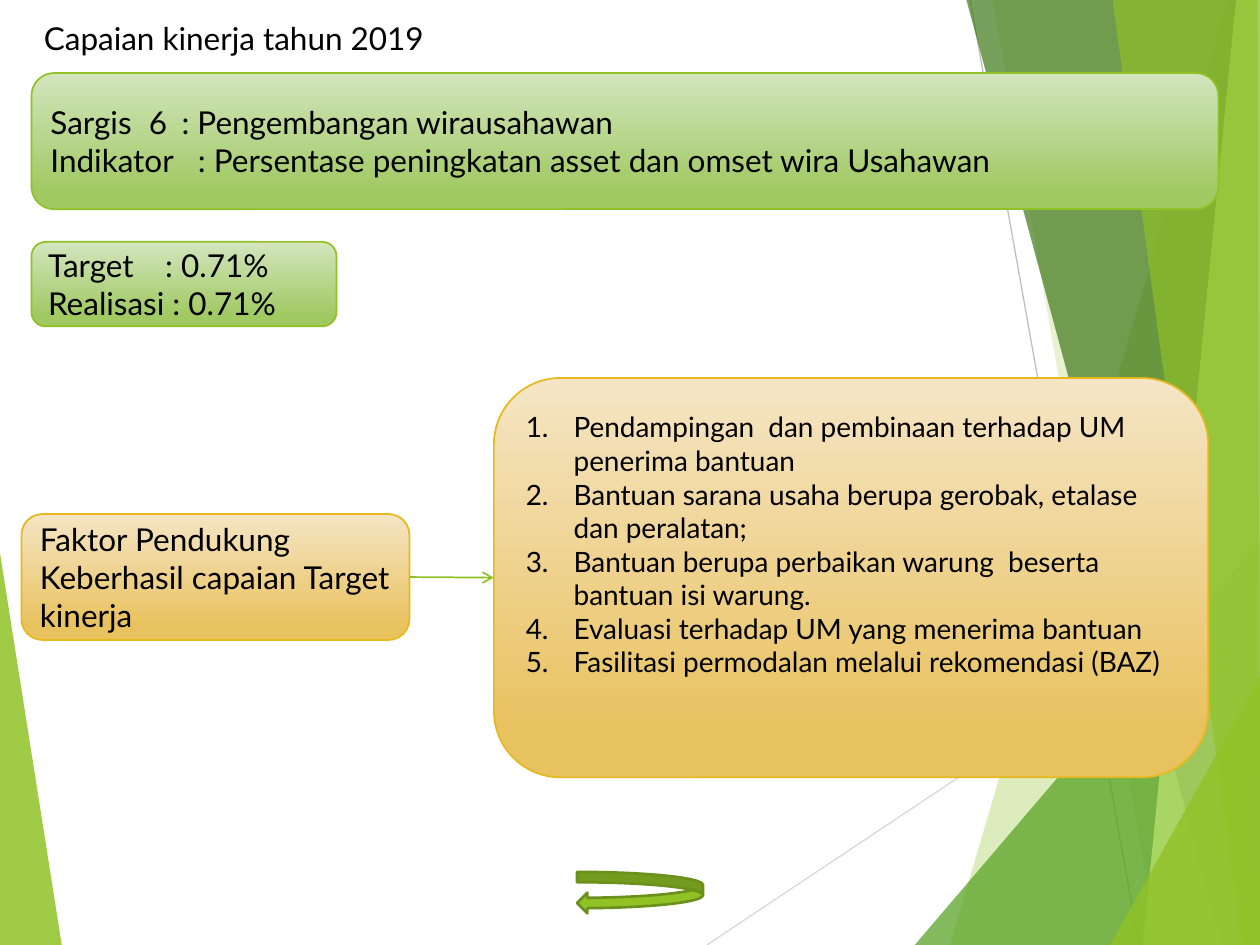
from lxml import etree
from pptx import Presentation
from pptx.dml.color import RGBColor
from pptx.enum import shapes, text
from pptx.oxml.ns import qn
from pptx.util import Inches, Pt

BLACK = RGBColor(0x00, 0x00, 0x00)
GREEN = RGBColor(0x90, 0xC2, 0x26)
DARK_GREEN = RGBColor(0x6B, 0x90, 0x1C)
LEAF = RGBColor(0x54, 0xA0, 0x21)
FOREST = RGBColor(0x3F, 0x78, 0x19)
LIME = RGBColor(0xC0, 0xE4, 0x74)
GOLD = RGBColor(0xE6, 0xB9, 0x1E)
GREY = RGBColor(0xBF, 0xBF, 0xBF)
LIGHT_GREY = RGBColor(0xD9, 0xD9, 0xD9)
GREEN_STYLE = (RGBColor(0xD3, 0xE5, 0xBE), RGBColor(0xA0, 0xC9, 0x62), GREEN)
GOLD_STYLE = (RGBColor(0xF5, 0xE5, 0xC5), RGBColor(0xE9, 0xC2, 0x60), GOLD)

WIDTH, HEIGHT = 10, 7.5
RIGHT_FACETS = [  # corners relative to the decoration's box, colour, opacity
    ([(4.14, 0), (1.93, 7.5), (4.4, 7.5), (4.4, 0)], GREEN, 30),
    ([(2.27, 0), (3.58, 7.5), (4.4, 7.5), (4.4, 0)], GREEN, 20),
    ([(1.65, 7.5), (4.39, 4.29), (4.4, 7.5)], LEAF, 72),
    ([(2.06, 0), (4.09, 7.5), (4.4, 7.5), (4.4, 0)], FOREST, 70),
    ([(4.2, 0), (3.46, 7.5), (4.4, 7.5), (4.39, 0)], LIME, 70),
    ([(3.22, 0), (4.25, 7.5), (4.39, 7.5), (4.37, 0)], GREEN, 65),
    ([(3.2, 7.5), (4.4, 5.35), (4.4, 7.5)], GREEN, 80),
]


def add_facet(page, left, top, corners, colour, opacity):
    points = [(Inches(left + x), Inches(top + y)) for x, y in corners]
    builder = page.shapes.build_freeform(*points[0])
    builder.add_line_segments(points[1:], close=True)
    facet = builder.convert_to_shape()
    facet.shadow.inherit = False
    facet.fill.solid()
    facet.fill.fore_color.rgb = colour
    facet.line.fill.background()
    rgb = facet.fill._xPr.find(".//" + qn("a:srgbClr"))
    etree.SubElement(rgb, qn("a:alpha"), val=str(opacity * 1000))


def add_line(page, start, end, colour, width):
    points = [Inches(value) for value in (*start, *end)]
    line = page.shapes.add_connector(shapes.MSO_CONNECTOR.STRAIGHT, *points)
    line.line.color.rgb = colour
    line.line.width = Pt(width)
    etree.SubElement(line._element.spPr, qn("a:effectLst"))
    return line


def add_decoration(page, left, top):
    """Draw the translucent facets and thin lines along the slide's right side."""
    add_line(page, (left, top + 7.5), (left + 4.4, top + 4.57), LIGHT_GREY, 0.75)
    add_line(page, (left + 2.09, top), (left + 3.43, top + 7.5), GREY, 0.75)
    for corners, colour, opacity in RIGHT_FACETS:
        add_facet(page, left, top, corners, colour, opacity)


def set_tabs(para, stops):
    tabs = etree.SubElement(para._p.get_or_add_pPr(), qn("a:tabLst"))
    for stop in stops:
        etree.SubElement(tabs, qn("a:tab"), pos=str(Inches(stop)), algn="l")


def number(para, indent=0.38):
    props = para._p.get_or_add_pPr()
    props.set("marL", str(Inches(indent)))
    props.set("indent", str(-Inches(indent)))
    etree.SubElement(props, qn("a:buFont"), typeface="+mj-lt")
    etree.SubElement(props, qn("a:buAutoNum"), type="arabicPeriod")


def write(frame, lines, size=18):
    """Fill a text frame with one paragraph per line and return the paragraphs."""
    frame.word_wrap = True
    paras = [frame.paragraphs[0]] + [frame.add_paragraph() for _ in lines[1:]]
    for para, line in zip(paras, lines):
        para.alignment = text.PP_ALIGN.LEFT
        span = para.add_run()
        span.text = line
        for name, value in {"name": "Lato", "size": Pt(size)}.items():
            setattr(span.font, name, value)
        span.font.color.rgb = BLACK
    return paras


def add_panel(page, box, style, lines, size=18):
    """Add a rounded gradient panel and return it with its paragraphs."""
    panel = page.shapes.add_shape(
        shapes.MSO_SHAPE.ROUNDED_RECTANGLE, *map(Inches, box))
    panel.shadow.inherit = False
    panel.fill.gradient()
    panel.fill.gradient_angle = 270
    for stop, position, colour in zip(panel.fill.gradient_stops, (0, 0.88), style):
        stop.position = position
        stop.color.rgb = colour
    panel.line.color.rgb = style[-1]
    panel.line.width = Pt(1)
    panel.text_frame.vertical_anchor = text.MSO_ANCHOR.MIDDLE
    return panel, write(panel.text_frame, lines, size)


def add_title(page, box):
    title = page.shapes.add_textbox(*map(Inches, box))
    write(title.text_frame, ["Capaian kinerja tahun 2019"])


def add_targets(page, left, top):
    _, goal = add_panel(page, (left, top, 9.42, 1.08), GREEN_STYLE, [
        "Sargis\t6\t: Pengembangan wirausahawan",
        "Indikator\t: Persentase peningkatan asset dan omset wira Usahawan"])
    _, result = add_panel(page, (left, top + 1.34, 2.42, 0.67), GREEN_STYLE, [
        "Target\t: 0.71%", "Realisasi : 0.71%"])
    set_tabs(goal[0], (0.78, 1.04))
    set_tabs(goal[1], (1.17,))
    set_tabs(result[0], (0.93,))


def add_factors(page, left, top):
    """Link the supporting-factor label to its numbered list."""
    label, _ = add_panel(page, (left, top + 1.08, 3.08, 1), GOLD_STYLE, [
        "Faktor Pendukung Keberhasil capaian Target kinerja"])
    factors, paras = add_panel(page, (left + 3.75, top, 5.67, 3.17), GOLD_STYLE, [
        "Pendampingan  dan pembinaan terhadap UM penerima bantuan",
        "Bantuan sarana usaha berupa gerobak, etalase dan peralatan;",
        "Bantuan berupa perbaikan warung  beserta bantuan isi warung.",
        "Evaluasi terhadap UM yang menerima bantuan",
        "Fasilitasi permodalan melalui rekomendasi (BAZ)"], 16)
    factors.text_frame.margin_bottom = Inches(0.58)
    for para in paras:
        number(para)
    arrow = add_line(page, (left + 3.08, top + 1.58), (left + 3.75, top + 1.58), GREEN, 1)
    arrow.begin_connect(label, 3)
    arrow.end_connect(factors, 1)
    etree.SubElement(arrow.line._get_or_add_ln(), qn("a:tailEnd"), type="arrow")


def add_return_arrow(page, box):
    arrow = page.shapes.add_shape(
        shapes.MSO_SHAPE.CURVED_LEFT_ARROW, *map(Inches, box))
    arrow.shadow.inherit = False
    arrow.fill.solid()
    arrow.fill.fore_color.rgb = GREEN
    arrow.line.color.rgb = DARK_GREEN
    arrow.line.width = Pt(1.5)


def main():
    deck = Presentation()
    deck.slide_width, deck.slide_height = Inches(WIDTH), Inches(HEIGHT)
    page = deck.slides.add_slide(deck.slide_layouts[6])
    add_facet(page, 0, 4.39, [(0, 0), (0.49, 3.11), (0, 3.11)], GREEN, 85)
    add_decoration(page, 5.61, 0)
    add_targets(page, 0.25, 0.58)
    add_factors(page, 0.17, 3)
    add_title(page, (0.25, 0.1, 3.56, 0.4))
    add_return_arrow(page, (4.58, 6.92, 1, 0.33))
    deck.save("out.pptx")


if __name__ == "__main__":
    main()
